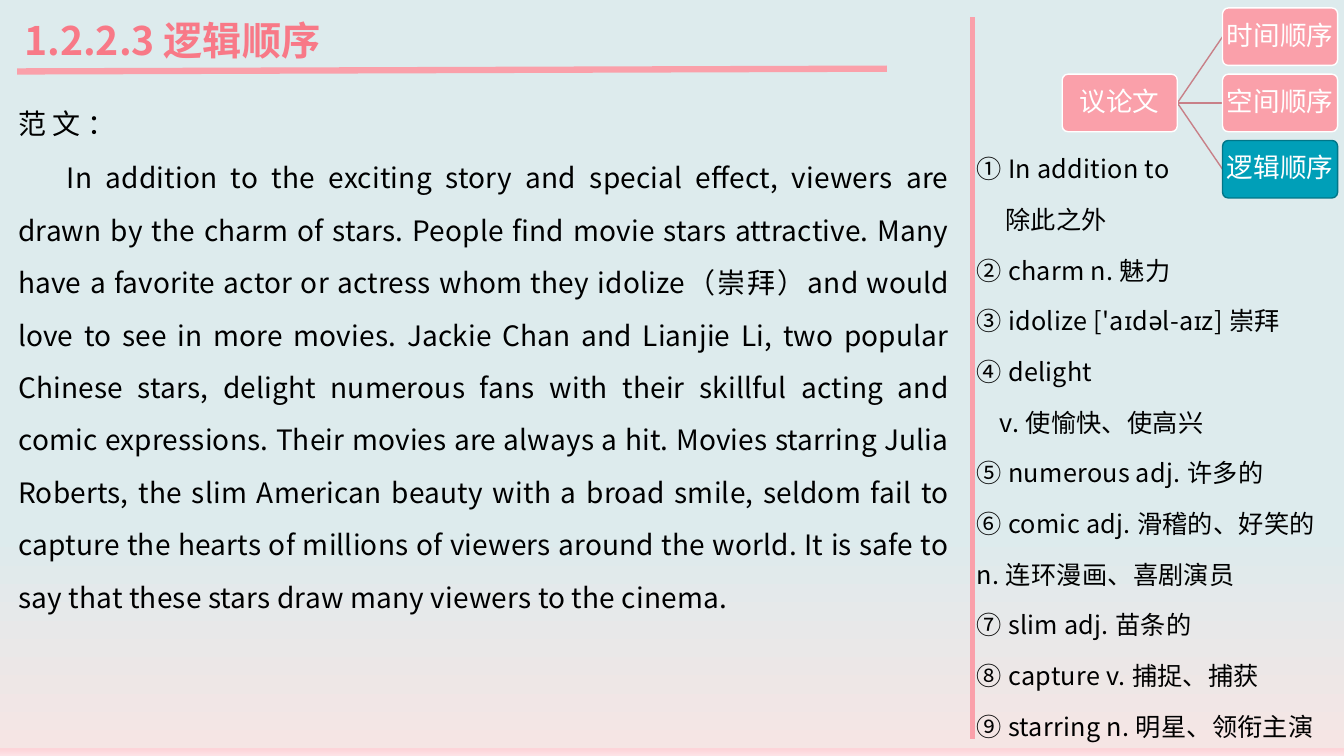
from pptx import Presentation
from pptx.dml.color import RGBColor
from pptx.enum.shapes import MSO_CONNECTOR as Link, MSO_SHAPE as Form
from pptx.enum.text import MSO_ANCHOR as Anchor, MSO_AUTO_SIZE as Fit, PP_ALIGN as Align
from pptx.oxml import parse_xml
from pptx.oxml.ns import nsdecls, qn
from pptx.util import Cm, Pt

PINK, WHITE, BLACK = "FAA0AA", "FFFFFF", "000000"
ESSAY = [
    "范 文 ：",
    "In addition to the exciting story and special effect, viewers are drawn by the "
    "charm of stars. People find movie stars attractive. Many have a favorite actor or "
    "actress whom they idolize（崇拜）and would love to see in more movies. Jackie Chan "
    "and Lianjie Li, two popular Chinese stars, delight numerous fans with their skillful "
    "acting and comic expressions. Their movies are always a hit. Movies starring Julia "
    "Roberts, the slim American beauty with a broad smile, seldom fail to capture the "
    "hearts of millions of viewers around the world. It is safe to say that these stars "
    "draw many viewers to the cinema.",
]
WORDS = [
    "① In addition to", "除此之外", "② charm n. 魅力", "③ idolize ['aɪdəl-aɪz] 崇拜",
    "④ delight", "v. 使愉快、使高兴", "⑤ numerous adj. 许多的",
    "⑥ comic adj. 滑稽的、好笑的", "n. 连环漫画、喜剧演员", "⑦ slim adj. 苗条的",
    "⑧ capture v. 捕捉、捕获", "⑨ starring n. 明星、领衔主演",
]
LEAVES = [("时间顺序", PINK, WHITE), ("空间顺序", PINK, WHITE), ("逻辑顺序", "009FB8", "007688")]


def tint(code):
    return RGBColor.from_string(code)


class Page:
    """Holds the style and the current slide."""

    font, wide, high = "Noto Sans CJK SC", 2.9, 1.45

    def __init__(self, deck):
        self.slide = deck.slides.add_slide(deck.slide_layouts[3])
        self.shapes = self.slide.shapes

    def back(self, stops):
        marks = "".join(
            f'<a:gs pos="{spot * 1000}"><a:srgbClr val="{code}"/></a:gs>' for spot, code in stops)
        self.slide._element.cSld.insert(0, parse_xml(
            f'<p:bg {nsdecls("p", "a")}><p:bgPr><a:gradFill rotWithShape="1">'
            f'<a:gsLst>{marks}</a:gsLst><a:lin ang="5400000" scaled="0"/></a:gradFill>'
            '<a:effectLst/></p:bgPr></p:bg>'))

    def style(self, para, size, color, font=None, bold=False, track=0):
        for run in para.runs:
            run.font.size, run.font.bold = Pt(size), bold
            run.font.name = font or self.font
            run.font.color.rgb = tint(color)
            props = run.font._element
            props.set("spc", str(track))
            east = props.makeelement(qn("a:ea"), {"typeface": font or self.font})
            props.find(qn("a:latin")).addnext(east)

    def place(self, shape, box):
        shape.left, shape.top, shape.width, shape.height = map(Cm, box)
        frame = shape.text_frame
        frame.word_wrap, frame.auto_size = True, Fit.NONE
        frame.vertical_anchor = Anchor.TOP
        return frame

    def title(self, text, box):
        frame = self.place(self.shapes.title, box)
        frame.text = text
        para = frame.paragraphs[0]
        para.alignment = Align.LEFT
        self.style(para, 28, "F87987", bold=True)

    def body(self, slot, lines, box, size, align, pitch, track, left={}, first={}):
        frame = self.place(self.slide.placeholders[slot], box)
        frame.margin_left = frame.margin_right = frame.margin_bottom = 0
        frame.margin_top = Cm(0.06)
        frame.text = "\n".join(lines)
        for row, para in enumerate(frame.paragraphs):
            props = para._p.get_or_add_pPr()
            props.set("marL", str(Cm(left.get(row, 0.03))))
            props.set("indent", str(Cm(first.get(row, 0))))
            props.append(props.makeelement(qn("a:buNone"), {}))
            para.alignment, para.line_spacing = align, pitch
            para.space_before, para.space_after = Pt(1 if row else 0), Pt(0)
            self.style(para, size, BLACK, track=track)

    def line(self, start, end, color, width):
        link = self.shapes.add_connector(Link.STRAIGHT, *map(Cm, start + end))
        link.line.color.rgb, link.line.width = tint(color), Pt(width)
        props = link._element.spPr
        props.append(props.makeelement(qn("a:effectLst"), {}))

    def node(self, text, left, top, fill, edge):
        shape = self.shapes.add_shape(
            Form.ROUNDED_RECTANGLE, *map(Cm, (left, top, self.wide, self.high)))
        shape.adjustments[0] = 0.1
        shape.shadow.inherit = False
        shape.fill.solid()
        shape.fill.fore_color.rgb = tint(fill)
        shape.line.color.rgb, shape.line.width = tint(edge), Pt(1)
        frame = shape.text_frame
        frame.margin_left = frame.margin_right = Cm(0.03)
        frame.margin_top = frame.margin_bottom = Cm(0.03)
        frame.word_wrap, frame.vertical_anchor = True, Anchor.MIDDLE
        frame.text = text
        para = frame.paragraphs[0]
        para.alignment, para.line_spacing = Align.CENTER, 0.9
        self.style(para, 19, WHITE, font="League Spartan")

    def tree(self, root, leaves, left, right, top, step):
        hub = (left + self.wide, top + step + self.high / 2)
        for row, (text, fill, edge) in enumerate(leaves):
            high = top + row * step
            self.line(hub, (right, high + self.high / 2), "C88088", 1)
            self.node(text, right, high, fill, edge)
        self.node(root, left, top + step, PINK, WHITE)


def main():
    deck = Presentation()
    deck.slide_width, deck.slide_height = Cm(33.87), Cm(19.05)
    page = Page(deck)
    page.back([(70, "DDEBED"), (99, "F5E5E4"), (99, "FDD4D9"), (100, "FDE3E6")])
    page.title("1.2.2.3 逻辑顺序", (0.36, 0.28, 21.23, 1.45))
    page.line((0.43, 1.8), (22.35, 1.73), PINK, 4.5)
    page.body(1, ESSAY, (0.43, 2.16, 23.5, 14.71), 20, Align.JUSTIFY, 1.56, 10,
              first={1: 1.22})
    page.line((24.51, 0.43), (24.51, 18.62), PINK, 3)
    page.body(2, WORDS, (24.59, 3.33, 9.2, 15.49), 18, Align.LEFT, Pt(35.2), 20,
              left={1: 0.74, 5: 0.61})
    page.tree("议论文", LEAVES, 26.77, 30.81, 0.2, 1.67)
    deck.save("out.pptx")


if __name__ == "__main__":
    main()
